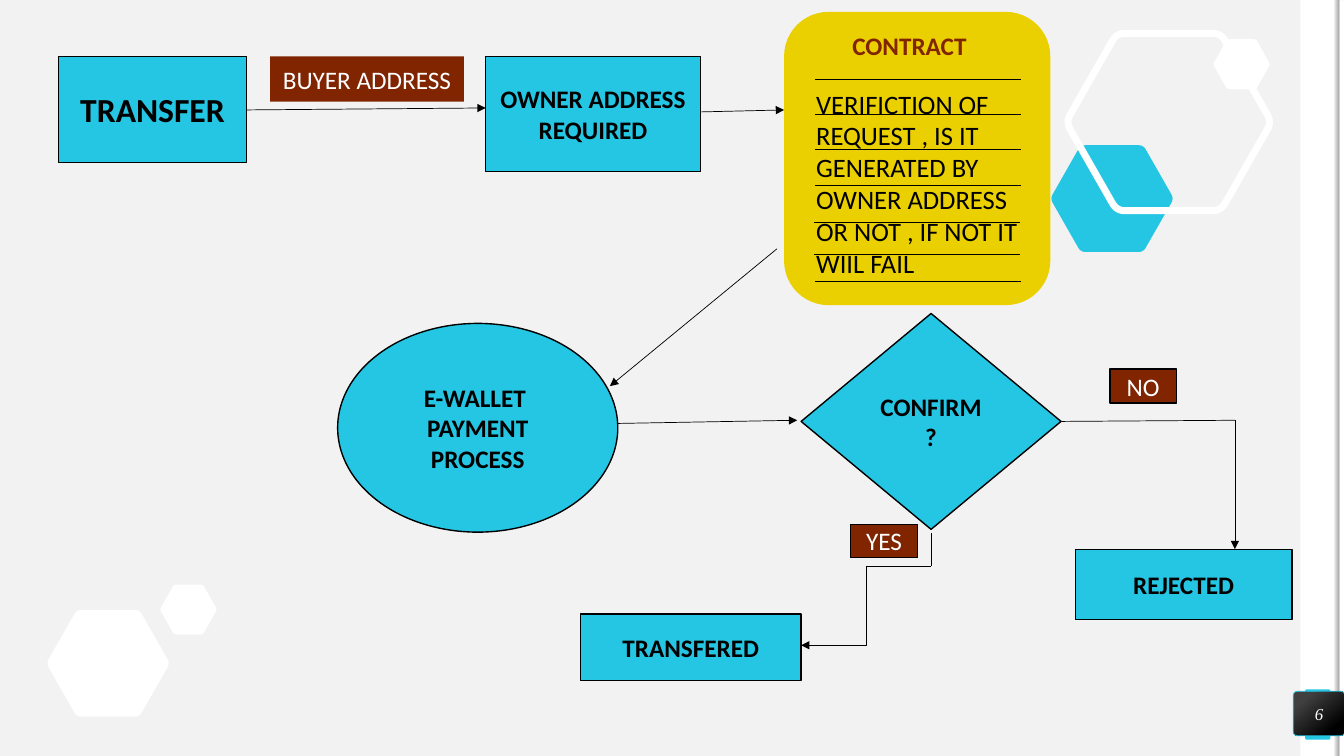
from lxml import etree
from pptx import Presentation
from pptx.dml.color import RGBColor
from pptx.enum.shapes import MSO_CONNECTOR, MSO_SHAPE
from pptx.enum.text import MSO_ANCHOR, MSO_AUTO_SIZE, PP_ALIGN
from pptx.oxml.ns import qn
from pptx.util import Cm, Pt

RECT, ROUND = MSO_SHAPE.RECTANGLE, MSO_SHAPE.ROUNDED_RECTANGLE
OVAL, DIAMOND = MSO_SHAPE.OVAL, MSO_SHAPE.DIAMOND
STRAIGHT, ELBOW = MSO_CONNECTOR.STRAIGHT, MSO_CONNECTOR.ELBOW
LEFT, CENTER = PP_ALIGN.LEFT, PP_ALIGN.CENTER
MIDDLE, GROW = MSO_ANCHOR.MIDDLE, MSO_AUTO_SIZE.SHAPE_TO_FIT_TEXT

CYAN, BROWN, YELLOW = "25C6E3", "802500", "EAD000"
BLACK, WHITE = "000000", "FFFFFF"

# Sharp corners of a hexagon in a unit box, and the share of each side rounded off
HEX_CORNERS = [(0.243, 0), (0.757, 0), (1.007, 0.5), (0.757, 1), (0.243, 1), (-0.007, 0.5)]
HEX_CUT = 0.08
CURVE_STEPS = 6


def rgb(color):
    return RGBColor.from_string(color)


def style(s, fill=None, line=None, width=1):
    s.shadow.inherit = False
    if fill:
        s.fill.solid()
        s.fill.fore_color.rgb = rgb(fill)
    else:
        s.fill.background()
    if line:
        s.line.color.rgb = rgb(line)
        s.line.width = Pt(width)
    else:
        s.line.fill.background()


def add_gradient(s, angle, *stops):
    """Fill with two (position, colour) stops; the angle runs counter-clockwise."""
    s.fill.gradient()
    s.fill.gradient_angle = angle
    for stop, (position, color) in zip(s.fill.gradient_stops, stops):
        stop.position = position
        stop.color.rgb = rgb(color)


def write(tf, text, size=18, color=BLACK, bold=False, italic=False, font="Calibri", align=CENTER):
    """Write one paragraph for each line of text."""
    tf.word_wrap = True
    for i, line in enumerate(text.split("\n")):
        p = tf.paragraphs[0] if i == 0 else tf.add_paragraph()
        p.alignment = align
        r = p.add_run()
        r.text = line
        r.font.name, r.font.size = font, Pt(size)
        r.font.bold, r.font.italic = bold, italic
        r.font.color.rgb = rgb(color)


def add_box(slide, kind, box, fill=None, line=None, width=1, text=None, **fmt):
    s = slide.shapes.add_shape(kind, *map(Cm, box))
    style(s, fill, line, width)
    if text:
        s.text_frame.vertical_anchor = MIDDLE
        write(s.text_frame, text, **fmt)
    return s


def add_node(slide, kind, box, text, size=18):
    add_box(slide, kind, box, CYAN, BLACK, text=text, size=size, bold=True)


def add_tag(slide, box, text, line=BLACK):
    add_box(slide, RECT, box, BROWN, line, text=text, color=WHITE)


def add_text(slide, box, text, **fmt):
    s = slide.shapes.add_textbox(*map(Cm, box))
    write(s.text_frame, text, align=LEFT, **fmt)
    s.text_frame.auto_size = GROW


def add_line(slide, x1, y1, x2, y2, arrow=False, kind=STRAIGHT):
    s = slide.shapes.add_connector(kind, Cm(x1), Cm(y1), Cm(x2), Cm(y2))
    s.line.color.rgb = rgb(BLACK)
    s.line.width = Pt(0.5)
    if arrow:
        etree.SubElement(s.line._get_or_add_ln(), qn("a:tailEnd"), type="triangle")
    etree.SubElement(s._element.spPr, qn("a:effectLst"))


def hexagon_points():
    """Outline of the unit hexagon, each corner a quadratic curve."""
    points = []
    count = len(HEX_CORNERS)
    for i, corner in enumerate(HEX_CORNERS):
        before, after = HEX_CORNERS[i - 1], HEX_CORNERS[(i + 1) % count]
        start = [c + (b - c) * HEX_CUT for c, b in zip(corner, before)]
        end = [c + (a - c) * HEX_CUT for c, a in zip(corner, after)]
        for step in range(CURVE_STEPS + 1):
            t = step / CURVE_STEPS
            points.append([(1 - t) ** 2 * a + 2 * t * (1 - t) * c + t ** 2 * b
                           for a, c, b in zip(start, corner, end)])
    return points


def add_hexagon(slide, x, y, w, h, fill=None, line=None):
    points = [(Cm(x + w * px), Cm(y + h * py)) for px, py in hexagon_points()]
    builder = slide.shapes.build_freeform(*points[0])
    builder.add_line_segments(points[1:], close=True)
    style(builder.convert_to_shape(), fill, line, 5)


def add_backdrop(slide):
    slide.background.fill.solid()
    slide.background.fill.fore_color.rgb = rgb("F2F2F2")
    add_box(slide, RECT, (32.77, 0, 0.99, 19.05), WHITE)
    tab = add_box(slide, ROUND, (32.89, 17.37, 0.64, 1.27), CYAN)
    tab.adjustments[0] = 0.074
    edge, shade = [add_box(slide, RECT, (x, 9.47, 19.05, 0.13), WHITE) for x in (24.28, 24.16)]
    edge.rotation = shade.rotation = 90
    add_gradient(shade, 90, (0, "F2F2F2"), (1, "A6A6A6"))

    add_hexagon(slide, 1.19, 15.37, 3.07, 2.69, WHITE)
    add_hexagon(slide, 26.49, 3.66, 3.07, 2.69, CYAN)
    add_hexagon(slide, 26.9, 0.84, 5.11, 4.47, line=WHITE)
    add_hexagon(slide, 4.04, 14.73, 1.42, 1.26, WHITE)
    add_hexagon(slide, 30.58, 0.99, 1.42, 1.26, WHITE)


def add_page_number(slide):
    badge = add_box(slide, ROUND, (32.59, 17.42, 1.3, 1.12), BLACK, CYAN, 0.5, text="6",
                    size=12, color=WHITE, italic=True, font="Times New Roman")
    badge.adjustments[0] = 0.095
    add_gradient(badge, 310, (0.2, "404040"), (0.82, BLACK))
    tf = badge.text_frame
    tf.margin_left = tf.margin_top = tf.margin_right = tf.margin_bottom = 0


def add_contract(slide):
    add_box(slide, ROUND, (19.76, 0.3, 6.71, 7.39), YELLOW)
    for y in (2.01, 2.87, 3.76, 4.67, 5.61, 6.4, 7.09):
        x = 20.52 if y in (5.61, 6.4) else 20.55
        add_line(slide, x, y, x + 5.18, y)
    add_text(slide, (21.23, 0.64, 4.47, 1.02), "CONTRACT", color=BROWN, bold=True)
    add_text(slide, (20.32, 2.08, 6.12, 5.13),
             "VERIFICTION OF REQUEST , IS IT GENERATED BY OWNER ADDRESS OR NOT , "
             "IF NOT IT WIIL FAIL", size=19)


def main():
    prs = Presentation()
    prs.slide_width, prs.slide_height = Cm(33.87), Cm(19.05)
    slide = prs.slides.add_slide(prs.slide_layouts[6])
    add_backdrop(slide)
    add_page_number(slide)

    add_node(slide, RECT, (1.47, 1.42, 4.75, 2.67), "TRANSFER", size=24)
    add_line(slide, 6.22, 2.77, 12.24, 2.72, arrow=True)
    add_tag(slide, (6.81, 1.42, 4.88, 1.14), "BUYER ADDRESS", line=None)
    add_node(slide, RECT, (12.24, 1.42, 5.41, 2.9), "OWNER ADDRESS\nREQUIRED")
    add_line(slide, 17.65, 2.82, 19.76, 2.77, arrow=True)
    add_contract(slide)

    add_line(slide, 19.58, 6.27, 15.37, 9.73, arrow=True)
    add_node(slide, OVAL, (8.51, 8.15, 7.06, 5.26), "E-WALLET \nPAYMENT\nPROCESS")
    add_line(slide, 15.57, 10.67, 20.09, 10.59, arrow=True)
    add_node(slide, DIAMOND, (20.19, 7.9, 6.55, 5.44), "CONFIRM?")

    add_line(slide, 23.47, 14.27, 20.19, 16.26, arrow=True, kind=ELBOW)
    add_line(slide, 23.47, 13.44, 23.47, 14.27)
    add_line(slide, 31.12, 10.59, 31.12, 13.84, arrow=True)
    add_line(slide, 26.75, 10.62, 31.12, 10.59)
    add_tag(slide, (27.97, 9.3, 1.68, 0.86), "NO")
    add_tag(slide, (21.44, 13.21, 1.68, 0.84), "YES")
    add_node(slide, RECT, (14.63, 15.47, 5.56, 1.68), "TRANSFERED")
    add_node(slide, RECT, (27.1, 13.84, 5.46, 1.78), "REJECTED")
    prs.save("out.pptx")


if __name__ == "__main__":
    main()
